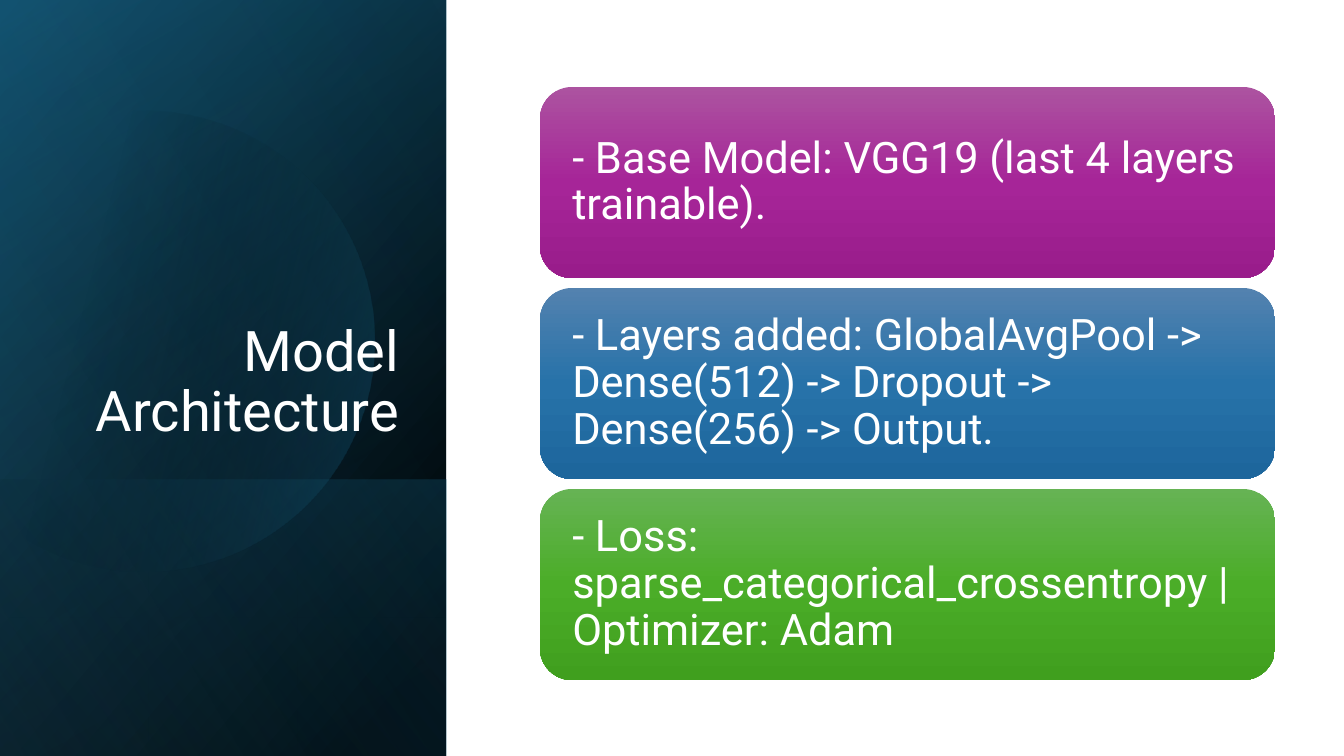
from math import acos, cos, pi, sin

from lxml.etree import SubElement
from pptx import Presentation
from pptx.dml.color import RGBColor
from pptx.enum.shapes import MSO_SHAPE
from pptx.enum.text import MSO_ANCHOR, PP_ALIGN
from pptx.oxml.ns import qn
from pptx.util import Emu, Pt

FONT = "Roboto"
WHITE = "FFFFFF"
SIDE_W, SLIDE_W, SLIDE_H = 446, 1344, 756
CARD_X, CARD_Y, CARD_W, CARD_H, CARD_STEP = 540, 87, 735, 191, 201
CARDS = [
    ("- Base Model: VGG19 (last 4 layers trainable).",
     ["AC53A0", "A62598", "991C8B"]),
    ("- Layers added: GlobalAvgPool -> Dense(512) -> Dropout -> Dense(256) -> Output.",
     ["5382AF", "2772A9", "1D669C"]),
    ("- Loss: sparse_categorical_crossentropy | Optimizer: Adam",
     ["66B354", "4BAD28", "409F1E"]),
]
SIDE_LAYERS = [
    (0, SLIDE_H, 50, [(8, "000000", 100), (100, "104862", 100)]),
    (0, SLIDE_H, 30, [(0, "000000", 0), (99, "156082", 46)]),
    (480, 276, 130, [(2, "156082", 29), (100, "000000", 30)]),
]
SHEEN = (0, SLIDE_H, 120, [(0, "000000", 0), (99, "46B1E1", 11)])


def px(n):
    """Turn pixels into EMU."""
    return Emu(round(n * 914400 / 100.8))


def color(value):
    """Turn a hex string into a colour."""
    return RGBColor.from_string(value)


def paint(s, angle, stops):
    """Fill a shape with a linear gradient of (position, colour, opacity) stops."""
    s.shadow.inherit = False
    s.line.fill.background()
    s.fill.gradient()
    grad = s._element.spPr.find(qn("a:gradFill"))
    for child in list(grad):
        grad.remove(child)
    grad.set("rotWithShape", "1")
    gs_list = SubElement(grad, qn("a:gsLst"))
    for pos, value, opacity in stops:
        gs = SubElement(gs_list, qn("a:gs"), pos=str(pos * 1000))
        clr = SubElement(gs, qn("a:srgbClr"), val=str(color(value)))
        if opacity < 100:
            SubElement(clr, qn("a:alpha"), val=str(opacity * 1000))
    SubElement(grad, qn("a:lin"), ang=str(angle * 60000), scaled="0")


def write(tf, text, size, align, anchor, inset):
    """Put one paragraph of white text into a text frame."""
    tf.word_wrap = True
    tf.vertical_anchor = anchor
    tf.margin_left = tf.margin_right = px(inset)
    p = tf.paragraphs[0]
    p.alignment = align
    p.line_spacing = 0.9
    r = p.add_run()
    r.text = text
    r.font.size = Pt(size)
    r.font.name = FONT
    r.font.color.rgb = color(WHITE)


def add_side_layer(slide, top, height, angle, stops):
    """Add a side panel layer, turned a quarter and mirrored."""
    left = (SIDE_W - height) / 2
    y = top + (height - SIDE_W) / 2
    s = slide.shapes.add_shape(MSO_SHAPE.RECTANGLE, px(left), px(y), px(height), px(SIDE_W))
    s.rotation = 90
    s._element.spPr.xfrm.set("flipH", "1")
    paint(s, angle, stops)


def add_disc(slide, cx, cy, radius, cut, angle, stops):
    """Add a disc whose left part is cut off along a vertical line."""
    end = pi - acos((cx - cut) / radius)
    turns = [end * (i / 60 - 1) for i in range(121)]
    points = [(px(cx + radius * cos(t)), px(cy + radius * sin(t))) for t in turns]
    builder = slide.shapes.build_freeform(*points[0])
    builder.add_line_segments(points[1:], close=True)
    paint(builder.convert_to_shape(), angle, stops)


def add_title(slide, text):
    """Add the right-aligned title on the side panel."""
    s = slide.shapes.add_textbox(px(65), px(185), px(344), px(264))
    write(s.text_frame, text, 40, PP_ALIGN.RIGHT, MSO_ANCHOR.BOTTOM, 10)


def add_card(slide, top, text, colors):
    """Add a rounded card with its text."""
    s = slide.shapes.add_shape(MSO_SHAPE.ROUNDED_RECTANGLE,
                               px(CARD_X), px(top), px(CARD_W), px(CARD_H))
    paint(s, 90, [(i * 50, value, 100) for i, value in enumerate(colors)])
    write(s.text_frame, text, 31, PP_ALIGN.LEFT, MSO_ANCHOR.MIDDLE, 23)


def main():
    """Build and save the slide."""
    prs = Presentation()
    prs.slide_width, prs.slide_height = px(SLIDE_W), px(SLIDE_H)
    slide = prs.slides.add_slide(prs.slide_layouts[6])
    for layer in SIDE_LAYERS:
        add_side_layer(slide, *layer)
    add_disc(slide, 144, 341, 230, -15, 14, [(29, "000000", 0), (100, "156082", 43)])
    add_side_layer(slide, *SHEEN)
    add_title(slide, "Model Architecture")
    for i, (text, colors) in enumerate(CARDS):
        add_card(slide, CARD_Y + i * CARD_STEP, text, colors)
    prs.save("out.pptx")


if __name__ == "__main__":
    main()
